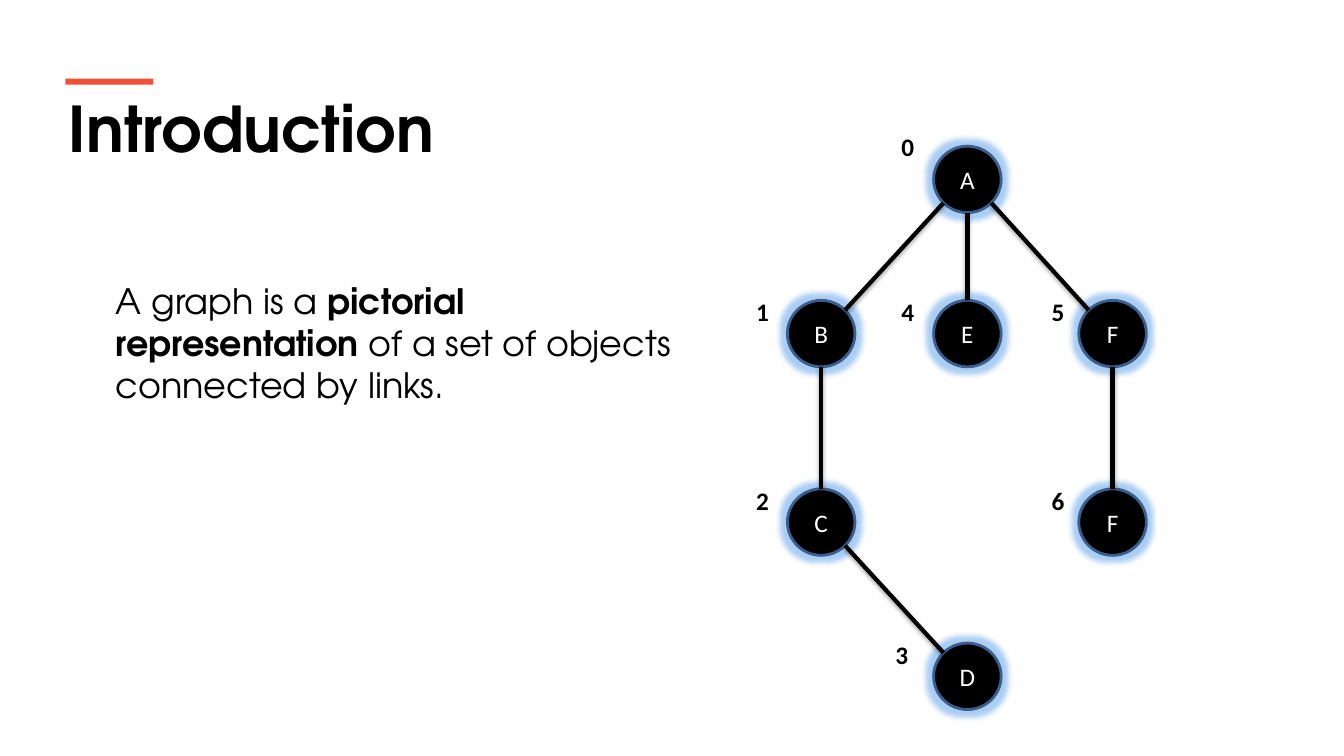
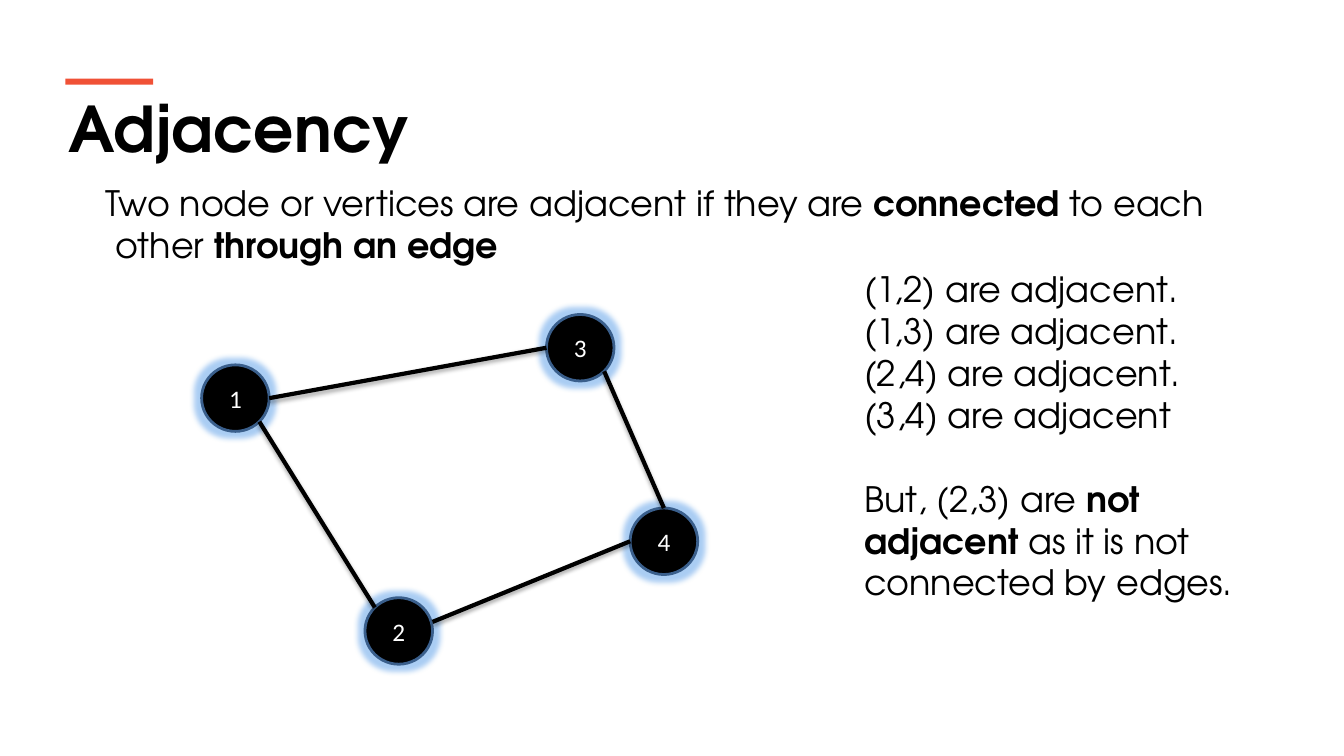
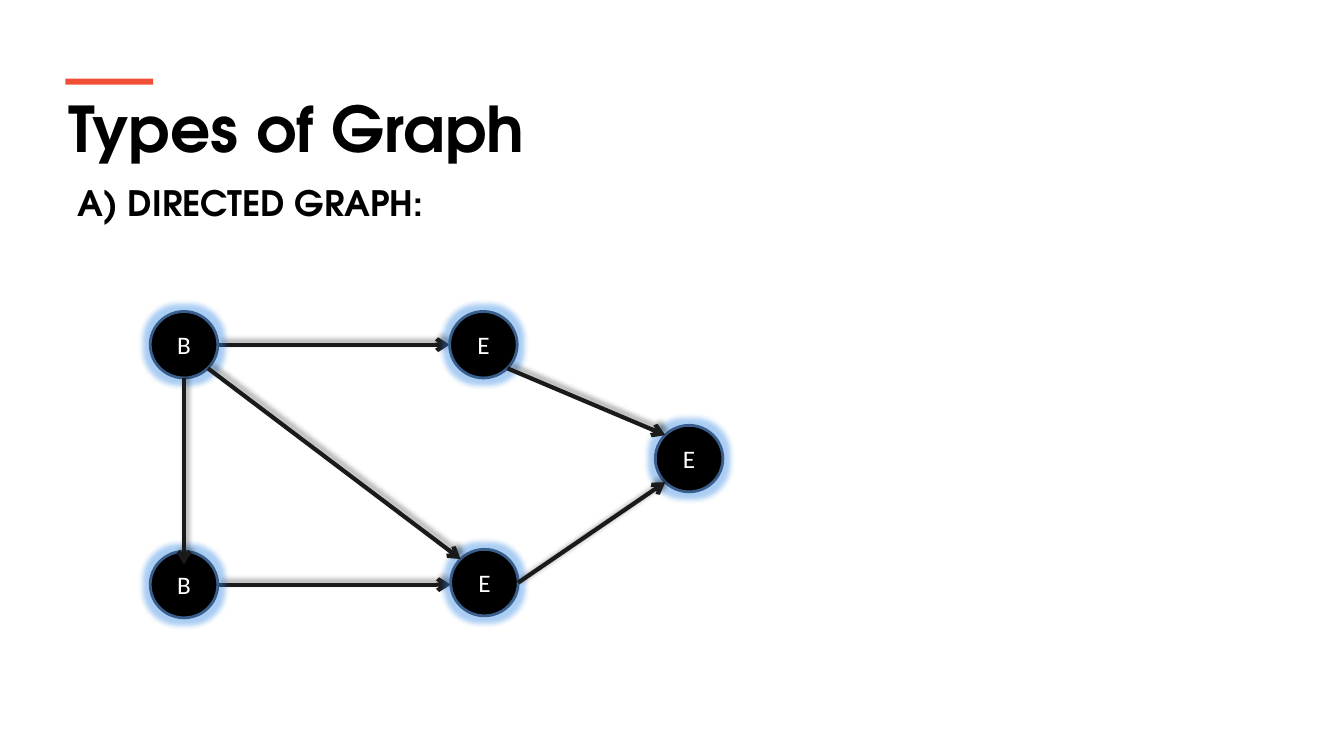
from lxml import etree
from pptx import Presentation
from pptx.dml.color import RGBColor
from pptx.enum.shapes import MSO_CONNECTOR, MSO_SHAPE
from pptx.enum.text import MSO_ANCHOR, MSO_AUTO_SIZE, PP_ALIGN
from pptx.oxml.ns import qn
from pptx.util import Pt

ELLIPSE, RECTANGLE = MSO_SHAPE.OVAL, MSO_SHAPE.RECTANGLE
STRAIGHT = MSO_CONNECTOR.STRAIGHT
LEFT, CENTER = PP_ALIGN.LEFT, PP_ALIGN.CENTER
TOP, MIDDLE = MSO_ANCHOR.TOP, MSO_ANCHOR.MIDDLE
NO_AUTOFIT = MSO_AUTO_SIZE.NONE

EMU_PER_PX = 9144  # 100 px to the inch
SLIDE_WIDTH, SLIDE_HEIGHT = 1333, 750
TITLE_ONLY = 5

BLACK, WHITE, ACCENT = "000000", "FFFFFF", "F05136"
ARROW, NODE_LINE, GLOW = "1A1A1A", "3A5F8C", "2A82E3"
HEADING_FONT, NODE_FONT = "TeX Gyre Adventor", "Calibri"

NODE_WIDTH, NODE_HEIGHT = 67, 66
LABEL_WIDTH, LABEL_HEIGHT = 40, 44
NARROW_INSETS, WIDE_INSETS = (10, 5), (13, 7)

# Connection sites of an ellipse: index and place as fractions of its box
NEAR, FAR = 0.146, 0.854
SITES = {
    "top": (0, 0.5, 0), "top left": (1, NEAR, NEAR),
    "left": (2, 0, 0.5), "bottom left": (3, NEAR, FAR),
    "bottom": (4, 0.5, 1), "bottom right": (5, FAR, FAR),
    "right": (6, 1, 0.5), "top right": (7, FAR, NEAR),
}

# Shadow: opacity in %, blur and distance in EMU, direction in degrees
SOFT_SHADOW = (35, 40000, 23000, 90)
ARROW_SHADOW = (40, 50800, 38100, 315)


def px(length):
    return round(length * EMU_PER_PX)


def box_emu(box):
    return [px(length) for length in box]


def color(hex_string):
    return RGBColor.from_string(hex_string)


def add_effect(effect_list, kind, hex_string, opacity, **attributes):
    effect = etree.SubElement(effect_list, qn(f"a:{kind}"))
    for name, value in attributes.items():
        effect.set(name, str(value))
    fill = etree.SubElement(effect, qn("a:srgbClr"), val=hex_string)
    etree.SubElement(fill, qn("a:alpha"), val=str(opacity * 1000))


def write_text(frame, paragraphs, size=25, font=HEADING_FONT, text_color=BLACK,
               align=LEFT, anchor=TOP, insets=NARROW_INSETS, wrap=True,
               margin=0, indent=0, space_before=None):
    """Write paragraphs, each a list of (text, bold) runs.

    space_before maps the index of a paragraph to points.
    """
    frame.word_wrap = wrap
    frame.auto_size = NO_AUTOFIT
    frame.vertical_anchor = anchor
    frame.margin_left = frame.margin_right = px(insets[0])
    frame.margin_top = frame.margin_bottom = px(insets[1])
    for index, runs in enumerate(paragraphs):
        paragraph = frame.add_paragraph() if index else frame.paragraphs[0]
        paragraph.alignment = align
        if space_before and index in space_before:
            paragraph.space_before = Pt(space_before[index])
        if margin or indent:
            properties = paragraph._p.get_or_add_pPr()
            properties.set("marL", str(px(margin)))
            properties.set("indent", str(px(indent)))
        for text, bold in runs:
            run = paragraph.add_run()
            run.text = text
            run.font.size = Pt(size)
            run.font.name = font
            run.font.bold = bold
            run.font.color.rgb = color(text_color)


def add_text(slide, box, paragraphs, **text_format):
    text_box = slide.shapes.add_textbox(*box_emu(box))
    write_text(text_box.text_frame, paragraphs, **text_format)


def add_shape(slide, kind, box, fill, line=None):
    shape = slide.shapes.add_shape(kind, *box_emu(box))
    shape.shadow.inherit = False
    shape.fill.solid()
    shape.fill.fore_color.rgb = color(fill)
    if line:
        shape.line.color.rgb = color(line)
        shape.line.width = Pt(2)
    else:
        shape.line.fill.background()
    return shape


def add_titled_slide(presentation, title_text):
    slide = presentation.slides.add_slide(presentation.slide_layouts[TITLE_ONLY])
    title = slide.shapes.title
    title.left, title.top, title.width, title.height = box_emu((58, 84, 1218, 86))
    write_text(title.text_frame, [[(title_text, True)]], size=45)
    add_shape(slide, RECTANGLE, (65, 78, 87, 6), ACCENT)
    return slide


def add_node(slide, left, top, letter):
    node = add_shape(slide, ELLIPSE, (left, top, NODE_WIDTH, NODE_HEIGHT),
                     BLACK, NODE_LINE)
    effect_list = node.element.spPr.find(qn("a:effectLst"))
    add_effect(effect_list, "glow", GLOW, 40, rad=101600)
    write_text(node.text_frame, [[(letter, False)]], size=18, font=NODE_FONT,
               text_color=WHITE, align=CENTER, anchor=MIDDLE, insets=WIDE_INSETS)
    return node


def add_edge(slide, start, start_site, end, end_site, start_shift=0, end_shift=0,
             line_color=BLACK, shadow=SOFT_SHADOW, arrow=False):
    """Join two nodes; an end that is shifted down by px stays unglued."""
    ends = []
    for node, site, shift in ((start, start_site, start_shift),
                              (end, end_site, end_shift)):
        _, across, down = SITES[site]
        ends += [round(node.left + across * node.width),
                 round(node.top + down * node.height) + px(shift)]
    edge = slide.shapes.add_connector(STRAIGHT, *ends)
    edge.line.color.rgb = color(line_color)
    edge.line.width = Pt(3)

    glue = edge.element.find(".//" + qn("p:cNvCxnSpPr"))
    for tag, node, site, shift in (("a:stCxn", start, start_site, start_shift),
                                   ("a:endCxn", end, end_site, end_shift)):
        if not shift:
            etree.SubElement(glue, qn(tag), id=str(node.shape_id),
                             idx=str(SITES[site][0]))

    properties = edge.element.spPr
    if arrow:
        etree.SubElement(properties.find(qn("a:ln")), qn("a:tailEnd"), type="arrow")
    opacity, blur, distance, direction = shadow
    effect_list = etree.SubElement(properties, qn("a:effectLst"))
    add_effect(effect_list, "outerShdw", BLACK, opacity, blurRad=blur,
               dist=distance, dir=direction * 60000, rotWithShape=0)
    return edge


def add_nodes(slide, origin, places):
    """Place nodes given as key: (left, top, letter) relative to the origin."""
    return {key: add_node(slide, origin[0] + left, origin[1] + top, letter)
            for key, (left, top, letter) in places.items()}


def add_tree(slide, left, top):
    columns, rows = (0, 145, 289), (0, 153, 340, 493)
    # Number: column, row, letter, distance of the number to the left and above
    places = {
        0: (1, 0, "A", 45, 22), 1: (0, 1, "B", 44, 11), 2: (0, 2, "C", 44, 11),
        3: (1, 3, "D", 51, 11), 4: (1, 1, "E", 45, 11), 5: (2, 1, "F", 40, 11),
        6: (2, 2, "F", 40, 11),
    }
    nodes = add_nodes(slide, (left, top), {
        number: (columns[column], rows[row], letter)
        for number, (column, row, letter, _, _) in places.items()})
    for start, start_site, end, end_site in (
            (0, "bottom right", 5, "top left"), (1, "top right", 0, "bottom left"),
            (0, "bottom", 4, "top"), (1, "bottom", 2, "top"),
            (2, "bottom right", 3, "top left"), (5, "bottom", 6, "top")):
        add_edge(slide, nodes[start], start_site, nodes[end], end_site)
    for number, (column, row, _, before, above) in places.items():
        box = (left + columns[column] - before, top + rows[row] - above,
               LABEL_WIDTH, LABEL_HEIGHT)
        add_text(slide, box, [[(str(number), True)]], size=18, font=NODE_FONT,
                 insets=WIDE_INSETS, wrap=False)


def add_adjacency_graph(slide, left, top):
    nodes = add_nodes(slide, (left, top), {
        3: (342, 0, "3"), 1: (0, 50, "1"), 2: (162, 281, "2"), 4: (425, 192, "4")})
    for start, start_site, end, end_site, shift in (
            (3, "bottom right", 4, "top", 0), (1, "right", 3, "left", 0),
            (1, "bottom right", 2, "top left", 0), (2, "right", 4, "left", -9)):
        add_edge(slide, nodes[start], start_site, nodes[end], end_site,
                 start_shift=shift)


def add_directed_graph(slide, left, top):
    nodes = add_nodes(slide, (left, top), {
        "upper B": (0, 0, "B"), "upper E": (297, 0, "E"),
        "lower B": (0, 238, "B"), "lower E": (298, 236, "E"),
        "last E": (501, 113, "E")})
    for start, start_site, end, end_site, shift in (
            ("upper B", "right", "upper E", "left", 0),
            ("lower B", "right", "lower E", "left", 2),
            ("upper B", "bottom right", "lower E", "top left", 0),
            ("upper B", "bottom", "lower B", "top", 13),
            ("lower E", "right", "last E", "bottom left", 0),
            ("upper E", "bottom right", "last E", "top left", 0)):
        edge = add_edge(slide, nodes[start], start_site, nodes[end], end_site,
                        end_shift=shift, line_color=ARROW, shadow=ARROW_SHADOW,
                        arrow=True)
        if (start_site, end_site) == ("right", "left"):
            nodes["upper B"].element.addprevious(edge.element)


def build_introduction(presentation):
    slide = add_titled_slide(presentation, "Introduction")
    add_text(slide, (67, 272, 622, 398), [[
        ("A graph is a ", False), ("pictorial representation ", True),
        ("of a set of objects connected by links.", False)]], margin=38)
    add_tree(slide, 781, 145)


def build_adjacency(presentation):
    slide = add_titled_slide(presentation, "Adjacency")
    add_text(slide, (67, 175, 1200, 100), [[
        ("Two node or vertices are adjacent if they are ", False),
        ("connected", True), (" to each other ", False),
        ("through an edge", True)]], margin=38, indent=-10)
    pairs = ("(1,2) are adjacent.", "(1,3) are adjacent.",
             "(2,4) are adjacent.", "(3,4) are adjacent")
    conclusion = [("But, (2,3) are ", False), ("not adjacent", True),
                  (" as it is not connected by edges.", False)]
    add_text(slide, (844, 258, 411, 350),
             [[(pair, False)] for pair in pairs] + [conclusion],
             insets=WIDE_INSETS, space_before={len(pairs): 30})
    add_adjacency_graph(slide, 200, 312)


def build_types(presentation):
    slide = add_titled_slide(presentation, "Types of Graph")
    add_text(slide, (67, 175, 1200, 60), [[("A) DIRECTED GRAPH:", True)]])
    add_directed_graph(slide, 149, 309)


def main():
    presentation = Presentation()
    presentation.slide_width = px(SLIDE_WIDTH)
    presentation.slide_height = px(SLIDE_HEIGHT)
    build_introduction(presentation)
    build_adjacency(presentation)
    build_types(presentation)
    presentation.save("out.pptx")


if __name__ == "__main__":
    main()
